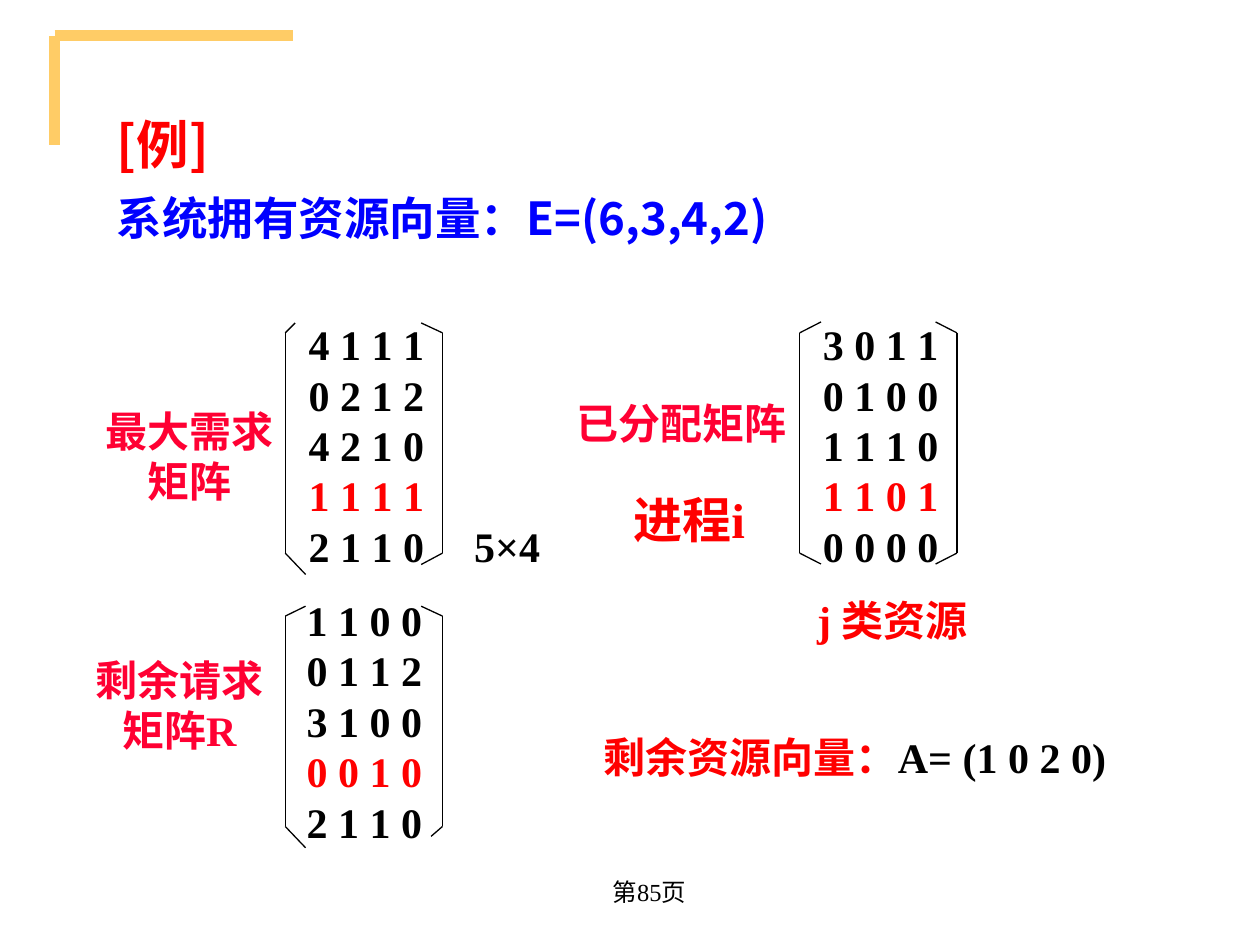
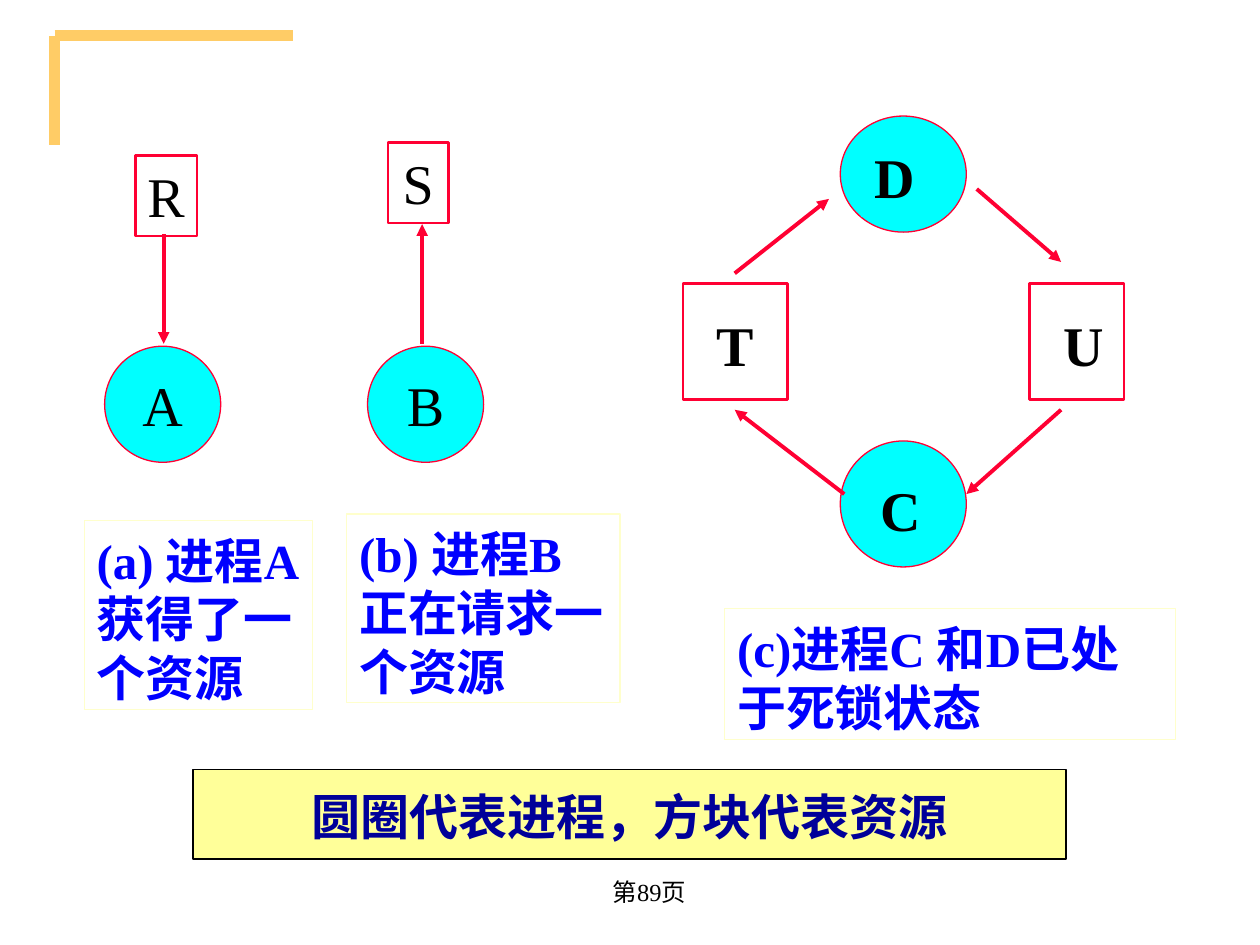
from dataclasses import dataclass
from typing import Optional

from lxml.etree import SubElement
from pptx import Presentation
from pptx.dml.color import RGBColor
from pptx.enum.shapes import MSO_CONNECTOR, MSO_SHAPE
from pptx.enum.text import MSO_ANCHOR, PP_ALIGN
from pptx.oxml.ns import qn
from pptx.util import Cm, Pt

BLACK = RGBColor(0x00, 0x00, 0x00)
WHITE = RGBColor(0xFF, 0xFF, 0xFF)
RED = RGBColor(0xFF, 0x00, 0x00)
ROSE = RGBColor(0xFF, 0x00, 0x33)
BLUE = RGBColor(0x00, 0x00, 0xFF)
NAVY = RGBColor(0x00, 0x00, 0x99)
CYAN = RGBColor(0x00, 0xFF, 0xFF)
GOLD = RGBColor(0xFF, 0xCC, 0x66)
LEMON = RGBColor(0xFF, 0xFF, 0x99)
CREAM = RGBColor(0xFF, 0xFF, 0xCC)

SERIF = "Times New Roman"
SANS = "Noto Sans CJK SC"
LEADING = 1.2
DROP = 0.07     # Chinese lines sit lower by this share of their size
RECT, OVAL = MSO_SHAPE.RECTANGLE, MSO_SHAPE.OVAL
LEFT, CENTER = PP_ALIGN.LEFT, PP_ALIGN.CENTER


@dataclass
class Box:
    """A text box, or a shape with text when a form is given; lengths in cm."""
    left: float
    top: float
    wide: float
    high: float
    text: str = ""
    size: int = 24
    color: RGBColor = BLACK
    bold: bool = True
    align: PP_ALIGN = CENTER
    middle: bool = False
    wrap: bool = True
    form: Optional[MSO_SHAPE] = None
    fill: Optional[RGBColor] = None
    edge: RGBColor = ROSE
    weight: float = 0.75


@dataclass
class Line:
    x1: float
    y1: float
    x2: float
    y2: float
    color: RGBColor = BLACK
    weight: float = 0.75
    arrow: bool = False


@dataclass
class Matrix:
    """Rows between brackets; tips are (dx, dy): left up, left low, right up, right low."""
    left: float
    inset: float
    top: float
    upper: float
    lower: float
    rows: str
    tips: list[tuple[float, float]]


WIDTH = 3.17    # from left bracket to right bracket
MARKED = 3      # row of process i
MATRICES = [
    Matrix(5.75, 0.22, 6.3, 6.71, 11.15, "4 1 1 1\n0 2 1 2\n4 2 1 0\n1 1 1 1\n2 1 1 0",
           [(0.2, 0.2), (0.41, 0.43), (0.43, 0.2), (0.43, 0.23)]),
    Matrix(16.12, 0.22, 6.3, 6.71, 11.15, "3 0 1 1\n0 1 0 0\n1 1 1 0\n1 1 0 1\n0 0 0 0",
           [(0.43, 0.22)] * 4),
    Matrix(5.75, 0.18, 11.86, 12.42, 16.66, "1 1 0 0\n0 1 1 2\n3 1 0 0\n0 0 1 0\n2 1 1 0",
           [(0.41, 0.2), (0.41, 0.43), (0.43, 0.2), (0.23, 0.2)]),
]
NOTES = [
    Box(8.94, 10.31, 2.57, 1.27, "5×4"),
    Box(11.2, 7.82, 5.08, 1.27, "已分配矩阵", color=ROSE),
    Box(1.73, 7.98, 4.17, 2.29, "最大需求\n矩阵", color=ROSE),
    Box(1.52, 13, 4.19, 2.29, "剩余请求\n矩阵R", color=ROSE),
    Box(12.09, 9.68, 3.61, 1.45, "进程i", 28, RED),
    Box(16.1, 11.79, 3.78, 1.27, "j 类资源", color=RED),
]
REST = Box(11.71, 14.55, 11.05, 1.27, "剩余资源向量：", color=RED)


def ring(left: float, top: float, wide: float, high: float, text: str = "") -> Box:
    """A process."""
    return Box(left, top, wide, high, text, 32, bold=False, middle=True,
               wrap=False, form=OVAL, fill=CYAN)


def block(left: float, top: float, wide: float, high: float, text: str = "") -> Box:
    """A resource."""
    return Box(left, top, wide, high, text, 32, bold=False, wrap=False,
               form=RECT, fill=WHITE, weight=1.5)


def label(left: float, top: float, text: str, tint: RGBColor) -> Box:
    return Box(left, top, 1.32, 1.63, text, 32, align=LEFT, wrap=False,
               form=RECT, fill=tint, edge=tint)


def caption(left: float, top: float, wide: float, high: float, text: str) -> Box:
    return Box(left, top, wide, high, text, 28, BLUE, align=LEFT,
               form=RECT, edge=CREAM)


def arrow(x1: float, y1: float, x2: float, y2: float) -> Line:
    return Line(x1, y1, x2, y2, ROSE, 2.25, True)


GRAPH = [
    ring(16.94, 2.34, 2.54, 2.34),
    ring(16.94, 8.89, 2.54, 2.54),
    block(13.77, 5.72, 2.11, 2.34),
    block(20.75, 5.72, 1.91, 2.34),
    label(14.2, 6.14, "T", WHITE),
    label(17.37, 2.74, "D", CYAN),
    label(21.18, 6.14, "U", WHITE),
    label(17.5, 9.47, "C", CYAN),
    Box(3.89, 15.52, 17.6, 1.8, "圆圈代表进程，方块代表资源", 28, NAVY,
        middle=True, wrap=False, form=RECT, fill=LEMON, edge=BLACK),
    caption(1.7, 10.49, 4.6, 3.81, "(a) 进程A获得了一个资源"),
    caption(6.99, 10.36, 5.51, 3.81, "(b) 进程B 正在请求一个资源"),
    caption(14.61, 12.27, 9.09, 2.64, "(c)进程C 和D已处于死锁状态"),
    block(2.73, 3.13, 1.24, 1.63, "R"),
    block(7.82, 2.87, 1.22, 1.63, "S"),
    ring(2.11, 6.98, 2.34, 2.34, "A"),
    ring(7.41, 6.98, 2.34, 2.34, "B"),
]
ARROWS = [
    arrow(14.81, 5.51, 16.71, 4.01),
    arrow(19.69, 3.81, 21.39, 5.28),
    arrow(21.39, 8.26, 19.48, 9.96),
    arrow(17.02, 9.96, 14.81, 8.26),
    arrow(3.3, 4.72, 3.3, 6.93),
    arrow(8.51, 6.93, 8.51, 4.52),
]


def style(para, face: str, size: int, color: RGBColor, bold: bool) -> None:
    """Set the Latin face and the shared Chinese face."""
    font = para.font
    font.name, font.size, font.bold = face, Pt(size), bold
    font.color.rgb = color
    props = para._p.pPr.find(qn("a:defRPr"))
    SubElement(props, qn("a:ea"), typeface=SANS)


def draw_line(slide, line: Line) -> None:
    ends = [Cm(n) for n in (line.x1, line.y1, line.x2, line.y2)]
    link = slide.shapes.add_connector(MSO_CONNECTOR.STRAIGHT, *ends)
    link.line.color.rgb = line.color
    link.line.width = Pt(line.weight)
    props = link._element.spPr
    if line.arrow:
        SubElement(props.find(qn("a:ln")), qn("a:tailEnd"), type="triangle")
    SubElement(props, qn("a:effectLst"))


def draw_box(slide, box: Box):
    place = [Cm(n) for n in (box.left, box.top, box.wide, box.high)]
    if box.form is None:
        shape = slide.shapes.add_textbox(*place)
    else:
        shape = slide.shapes.add_shape(box.form, *place)
        shape.shadow.inherit = False
        shape.line.color.rgb = box.edge
        shape.line.width = Pt(box.weight)
        if box.fill is None:
            shape.fill.background()
        else:
            shape.fill.solid()
            shape.fill.fore_color.rgb = box.fill
    if box.text:
        frame = shape.text_frame
        frame.text = box.text
        frame.word_wrap = box.wrap
        frame.vertical_anchor = MSO_ANCHOR.MIDDLE if box.middle else MSO_ANCHOR.TOP
        if not box.text.isascii():
            frame.margin_top = Cm(0.13) + Pt(box.size * DROP)
        for para in frame.paragraphs:
            para.alignment = box.align
            para.line_spacing = Pt(box.size * LEADING)
            style(para, SERIF, box.size, box.color, box.bold)
    return shape


def draw_matrix(slide, matrix: Matrix) -> None:
    rows = Box(matrix.left + matrix.inset, matrix.top, 3.4, 5.33, matrix.rows,
               align=LEFT)
    paras = draw_box(slide, rows).text_frame.paragraphs
    paras[MARKED].font.color.rgb = RED
    tips = iter(matrix.tips)
    for x, inward in ((matrix.left, 1), (matrix.left + WIDTH, -1)):
        draw_line(slide, Line(x, matrix.upper, x, matrix.lower))
        for y, outward in ((matrix.upper, -1), (matrix.lower, 1)):
            dx, dy = next(tips)
            draw_line(slide, Line(x, y, x + inward * dx, y + outward * dy))


def add_head(frame, text: str, size: int, color: RGBColor) -> None:
    frame.text = text
    frame.word_wrap = True
    frame.margin_top = frame.margin_bottom = 0
    frame.vertical_anchor = MSO_ANCHOR.TOP
    para = frame.paragraphs[0]
    para.alignment = LEFT
    style(para, SANS, size, color, True)


def add_slide(deck, layout: int, page: int):
    """Start a slide with the corner bands and the page number."""
    slide = deck.slides.add_slide(deck.slide_layouts[layout])
    draw_line(slide, Line(1.1, 0.72, 5.9, 0.72, GOLD, 6))
    draw_line(slide, Line(1.1, 0.72, 1.1, 2.92, GOLD, 6))
    draw_box(slide, Box(10.45, 17.32, 5.28, 1.27, f"第{page}页", 14,
                        bold=False, middle=True))
    return slide


def show_sample(deck) -> None:
    slide = add_slide(deck, 5, 85)
    title = slide.shapes.title
    title.left, title.top = Cm(2.1), Cm(2.26)
    title.width, title.height = Cm(22.23), Cm(1.5)
    add_head(title.text_frame, "[例]", 30, RED)
    vector = slide.shapes.add_textbox(Cm(2.1), Cm(3.84), Cm(22.23), Cm(1.4))
    add_head(vector.text_frame, "系统拥有资源向量：E=(6,3,4,2)", 26, BLUE)
    for matrix in MATRICES:
        draw_matrix(slide, matrix)
    for note in NOTES:
        draw_box(slide, note)
    run = draw_box(slide, REST).text_frame.paragraphs[0].add_run()
    run.text = "A= (1 0 2 0)"
    run.font.color.rgb = BLACK


def show_graph(deck) -> None:
    slide = add_slide(deck, 6, 89)
    for box in GRAPH:
        draw_box(slide, box)
    for line in ARROWS:
        draw_line(slide, line)


def main() -> None:
    deck = Presentation()
    deck.slide_width, deck.slide_height = Cm(25.4), Cm(19.05)
    show_sample(deck)
    show_graph(deck)
    deck.save("out.pptx")


if __name__ == "__main__":
    main()
